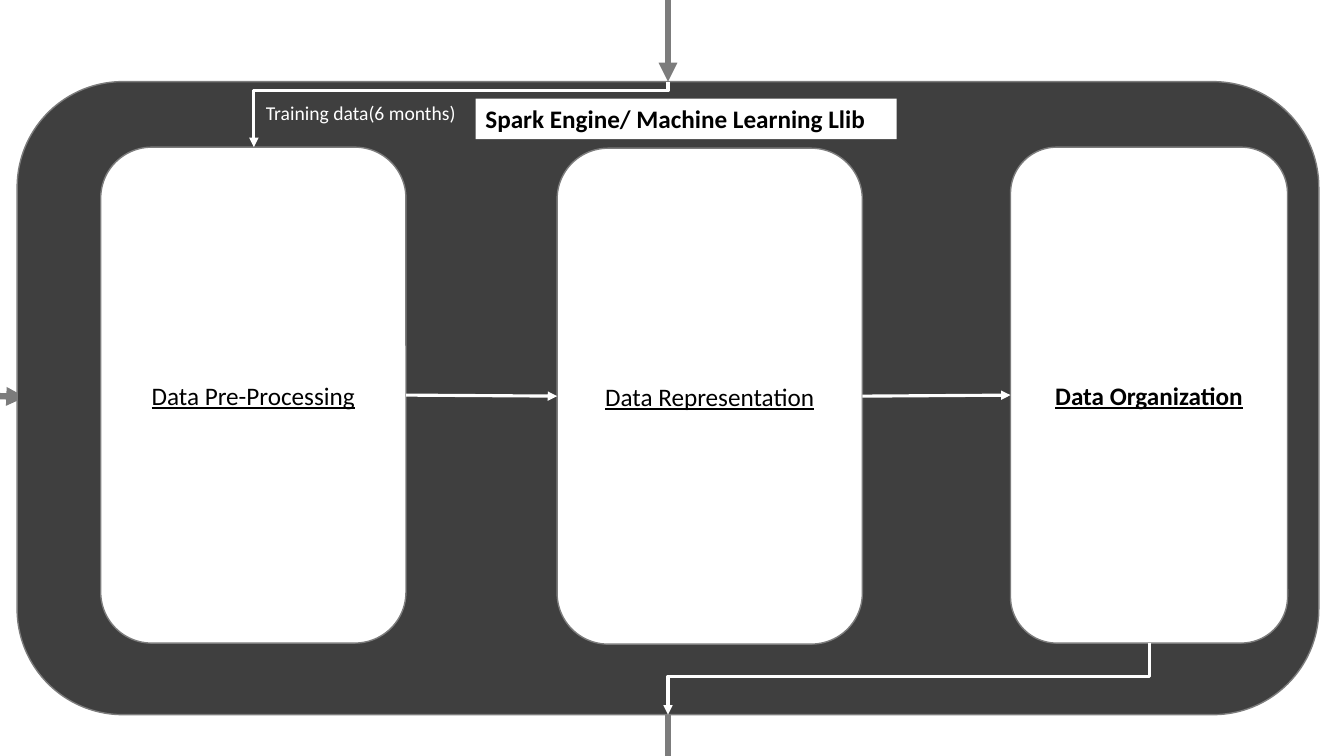
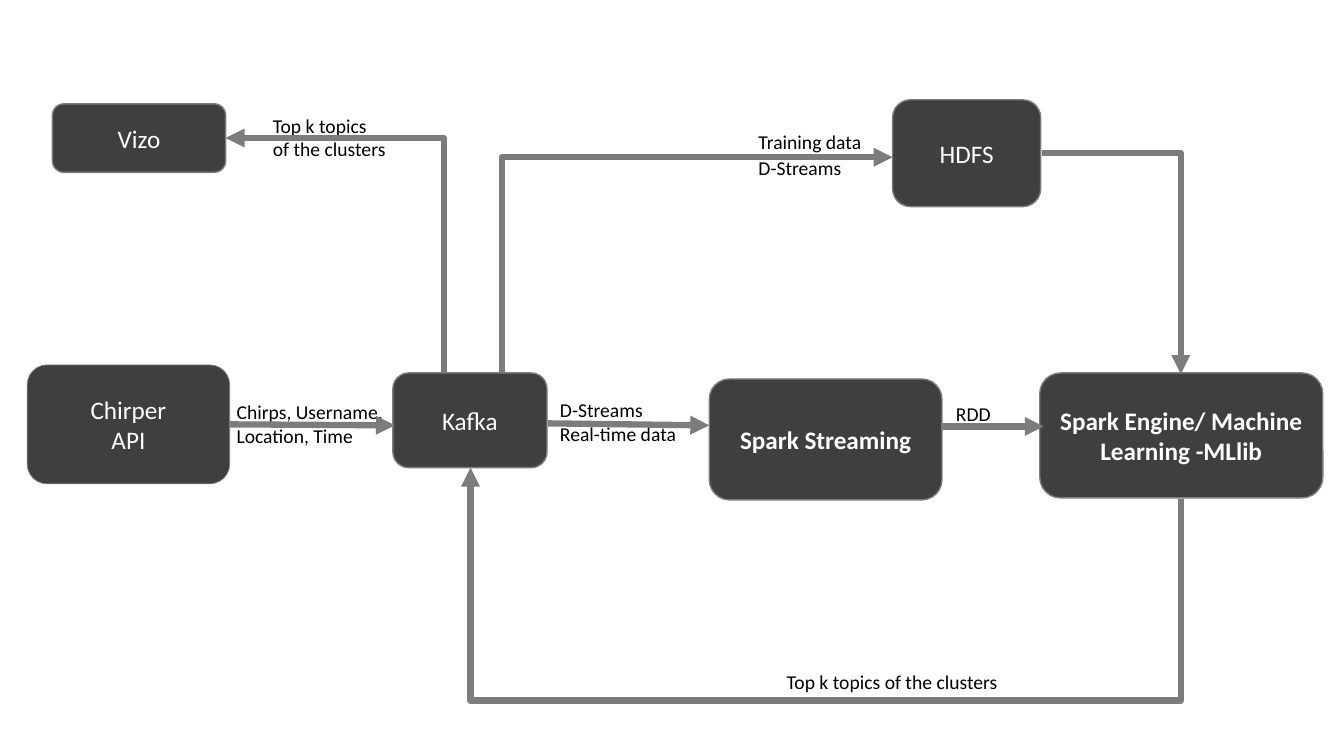
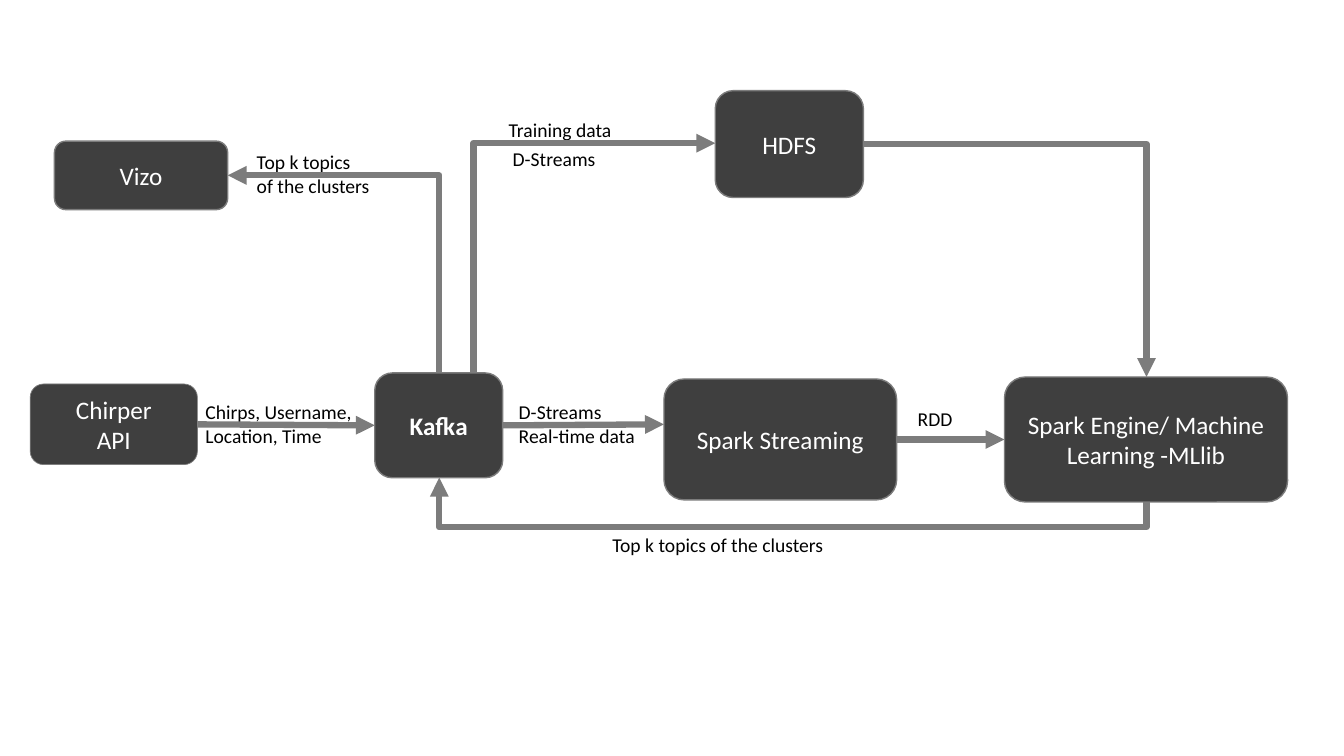
from lxml.etree import SubElement
from pptx import Presentation
from pptx.dml.color import RGBColor
from pptx.enum.shapes import MSO_CONNECTOR, MSO_SHAPE
from pptx.enum.text import MSO_ANCHOR, PP_ALIGN
from pptx.oxml.ns import qn
from pptx.util import Inches, Pt

COLORS = {"dark": "3F3F3F", "gray": "7C7C7C", "white": "FFFFFF", "black": "000000"}
FONT = "Calibri"
BOX_SIZE, LABEL_SIZE = 18, 14
CORNER = 0.167
FLOW_WIDTH, INNER_WIDTH = 4.5, 2.25

STAGE_TEXT = {
    "source": ["Chirper", "API"],
    "kafka": ["Kafka"],
    "hdfs": ["HDFS"],
    "streaming": ["Spark Streaming"],
    "engine": ["Spark Engine/ Machine Learning -MLlib"],
    "dashboard": ["Vizo"],
}
LABEL_TEXT = {
    "feed": ["Chirps, Username,", "Location, Time"],
    "training": ["Training data"],
    "batch": ["D-Streams"],
    "live": ["D-Streams", "Real-time data"],
    "rdd": ["RDD"],
    "result": ["Top k topics of the clusters"],
    "published": ["Top k topics", "of the clusters"],
}


def color(name):
    return RGBColor.from_string(COLORS[name])


class Diagram:
    """Holds the presentation, the current slide and the shared style."""

    def __init__(self):
        self.deck = Presentation()
        self.deck.slide_width, self.deck.slide_height = Inches(13.34), Inches(7.5)
        self.slide = None

    def new_slide(self):
        self.slide = self.deck.slides.add_slide(self.deck.slide_layouts[6])

    def add_lines(self, frame, lines, size, ink, align=PP_ALIGN.LEFT, bold=False, underline=False):
        frame.word_wrap = True
        for index, line in enumerate(lines):
            paragraph = frame.paragraphs[0] if index == 0 else frame.add_paragraph()
            paragraph.alignment = align
            run = paragraph.add_run()
            run.text = line
            run.font.name, run.font.size = FONT, Pt(size)
            run.font.bold, run.font.underline = bold, underline
            run.font.color.rgb = color(ink)

    def box(self, place, lines=(), fill="dark", ink="white", border=1, **style):
        """Rounded box with centred text."""
        box = self.slide.shapes.add_shape(MSO_SHAPE.ROUNDED_RECTANGLE, *map(Inches, place))
        box.adjustments[0] = CORNER
        box.shadow.inherit = False
        box.fill.solid()
        box.fill.fore_color.rgb = color(fill)
        box.line.color.rgb = color("gray")
        box.line.width = Pt(border)
        box.text_frame.vertical_anchor = MSO_ANCHOR.MIDDLE
        self.add_lines(box.text_frame, lines, BOX_SIZE, ink, PP_ALIGN.CENTER, **style)

    def label(self, place, lines, size=LABEL_SIZE, ink="black", fill=None, **style):
        label = self.slide.shapes.add_textbox(*map(Inches, place))
        if fill:
            label.fill.solid()
            label.fill.fore_color.rgb = color(fill)
        self.add_lines(label.text_frame, lines, size, ink, **style)

    def arrow(self, start, end, ink="gray", width=FLOW_WIDTH, kind=MSO_CONNECTOR.STRAIGHT, head=True):
        arrow = self.slide.shapes.add_connector(kind, *map(Inches, (*start, *end)))
        arrow.line.color.rgb = color(ink)
        arrow.line.width = Pt(width)
        properties = arrow.element.spPr
        if head:
            SubElement(properties.find(qn("a:ln")), qn("a:tailEnd"), type="triangle")
        SubElement(properties, qn("a:effectLst"))
        return arrow

    def elbow(self, start, end, vertical=True, bend=None, **style):
        """Arrow leaving vertically or horizontally; bend is the y of a middle stretch."""
        arrow = self.arrow(start, end, kind=MSO_CONNECTOR.ELBOW, **style)
        dx, dy = end[0] - start[0], end[1] - start[1]
        geometry = arrow.element.spPr.find(qn("a:prstGeom"))
        if bend is None:
            geometry.set("prst", "bentConnector2")
        else:
            ratio = round((bend - start[1]) / dy * 100000)
            guides = geometry.find(qn("a:avLst"))
            SubElement(guides, qn("a:gd"), name="adj1", fmla=f"val {ratio}")
        if vertical:
            across, along = abs(dx), abs(dy)
            arrow.left = Inches((start[0] + end[0] - along) / 2)
            arrow.top = Inches((start[1] + end[1] - across) / 2)
            arrow.width, arrow.height = Inches(along), Inches(across)
            frame = arrow.element.spPr.find(qn("a:xfrm"))
            for flip in ("flipH", "flipV"):
                frame.attrib.pop(flip, None)
            frame.set("rot", str((90 if dy > 0 else 270) * 60000))
            if dx * dy > 0:
                frame.set("flipV", "1")


def engine_slide(diagram):
    diagram.new_slide()
    center_x, top, bottom = 6.63, 0.81, 7.09
    diagram.arrow((0, 3.93), (0.25, 3.94))
    diagram.box((0.17, top, 12.92, bottom - top))
    diagram.arrow((center_x, bottom), (center_x, 7.5), head=False)
    diagram.label((2.54, 0.95, 2.09, 0.34), ["Training data(6 months)"], ink="white")
    diagram.arrow((center_x, 0), (center_x, top))
    diagram.label((4.72, 0.98, 4.18, 0.4), ["Spark Engine/ Machine Learning Llib"],
                  size=BOX_SIZE, fill="white", bold=True)
    steps = [("Data Pre-Processing", 1, 1.46, 3.03, False),
             ("Data Representation", 5.53, 1.47, 3.03, False),
             ("Data Organization", 10.03, 1.46, 2.75, True)]
    for name, left, step_top, width, bold in steps:
        diagram.box((left, step_top, width, 4.92), [name], fill="white", ink="black",
                    bold=bold, underline=True)
    inner = {"ink": "white", "width": INNER_WIDTH}
    diagram.arrow((4.03, 3.92), (5.53, 3.93), **inner)
    diagram.arrow((8.56, 3.93), (10.03, 3.92), **inner)
    diagram.elbow((center_x, top), (2.52, 1.46), bend=0.9, **inner)
    diagram.elbow((11.41, 6.38), (center_x, bottom), bend=6.71, **inner)


def pipeline_slide(diagram, stages, bold_stages, labels, straight, published, training, stored, result):
    """Stages with the labelled flows between them; result also holds its bend."""
    diagram.new_slide()
    for name, place in stages.items():
        diagram.box(place, STAGE_TEXT[name], bold=name in bold_stages,
                    border=0.5 if name == "source" else 1)
    for name, place in labels.items():
        diagram.label(place, LABEL_TEXT[name])
    for start, end in straight:
        diagram.arrow(start, end)
    diagram.elbow(*published)
    diagram.elbow(*training)
    diagram.elbow(*stored, vertical=False)
    *ends, bend = result
    diagram.elbow(*ends, bend=bend)


def main():
    diagram = Diagram()
    engine_slide(diagram)
    pipeline_slide(
        diagram,
        stages={
            "hdfs": (8.86, 0.99, 1.47, 1.06),
            "streaming": (7.04, 3.76, 2.31, 1.2),
            "engine": (10.32, 3.7, 2.81, 1.24),
            "dashboard": (0.52, 1.03, 1.72, 0.68),
            "kafka": (3.9, 3.7, 1.53, 0.94),
            "source": (0.27, 3.62, 2.01, 1.18),
        },
        bold_stages={"streaming", "engine"},
        labels={
            "feed": (2.25, 3.92, 1.76, 0.57),
            "training": (7.43, 1.24, 1.58, 0.34),
            "batch": (7.43, 1.5, 1.58, 0.34),
            "live": (5.46, 3.9, 1.58, 0.57),
            "rdd": (9.39, 3.94, 0.95, 0.34),
            "result": (7.71, 6.6, 3.27, 0.34),
            "published": (2.61, 1.08, 1.43, 0.57),
        },
        straight=[((2.28, 4.21), (3.92, 4.22)),
                  ((5.44, 4.2), (7.04, 4.22)),
                  ((9.34, 4.23), (10.36, 4.23))],
        published=((4.41, 3.7), (2.24, 1.37)),
        training=((4.98, 3.7), (8.86, 1.56)),
        stored=((10.34, 1.52), (11.72, 3.71)),
        result=((11.72, 4.95), (4.67, 4.64), 6.95),
    )
    pipeline_slide(
        diagram,
        stages={
            "source": (0.3, 3.81, 1.66, 0.8),
            "kafka": (3.72, 3.7, 1.27, 1.04),
            "hdfs": (7.1, 0.9, 1.47, 1.06),
            "streaming": (6.59, 3.76, 2.31, 1.2),
            "engine": (9.97, 3.74, 2.81, 1.24),
            "dashboard": (0.54, 1.4, 1.72, 0.68),
        },
        bold_stages={"kafka"},
        labels={
            "feed": (1.94, 3.92, 1.84, 0.57),
            "training": (4.95, 1.12, 1.58, 0.34),
            "batch": (4.99, 1.41, 1.58, 0.34),
            "live": (5.05, 3.92, 1.58, 0.57),
            "rdd": (9.01, 3.99, 0.95, 0.34),
            "result": (5.98, 5.24, 3.27, 0.34),
            "published": (2.45, 1.44, 1.43, 0.57),
        },
        straight=[((1.96, 4.21), (3.72, 4.22)),
                  ((4.99, 4.22), (6.59, 4.21)),
                  ((8.89, 4.36), (9.97, 4.36))],
        published=((4.36, 3.7), (2.26, 1.74)),
        training=((4.7, 3.7), (7.1, 1.42)),
        stored=((8.57, 1.43), (11.38, 3.74)),
        result=((11.38, 4.98), (4.36, 4.74), 5.23),
    )
    diagram.deck.save("out.pptx")


if __name__ == "__main__":
    main()
